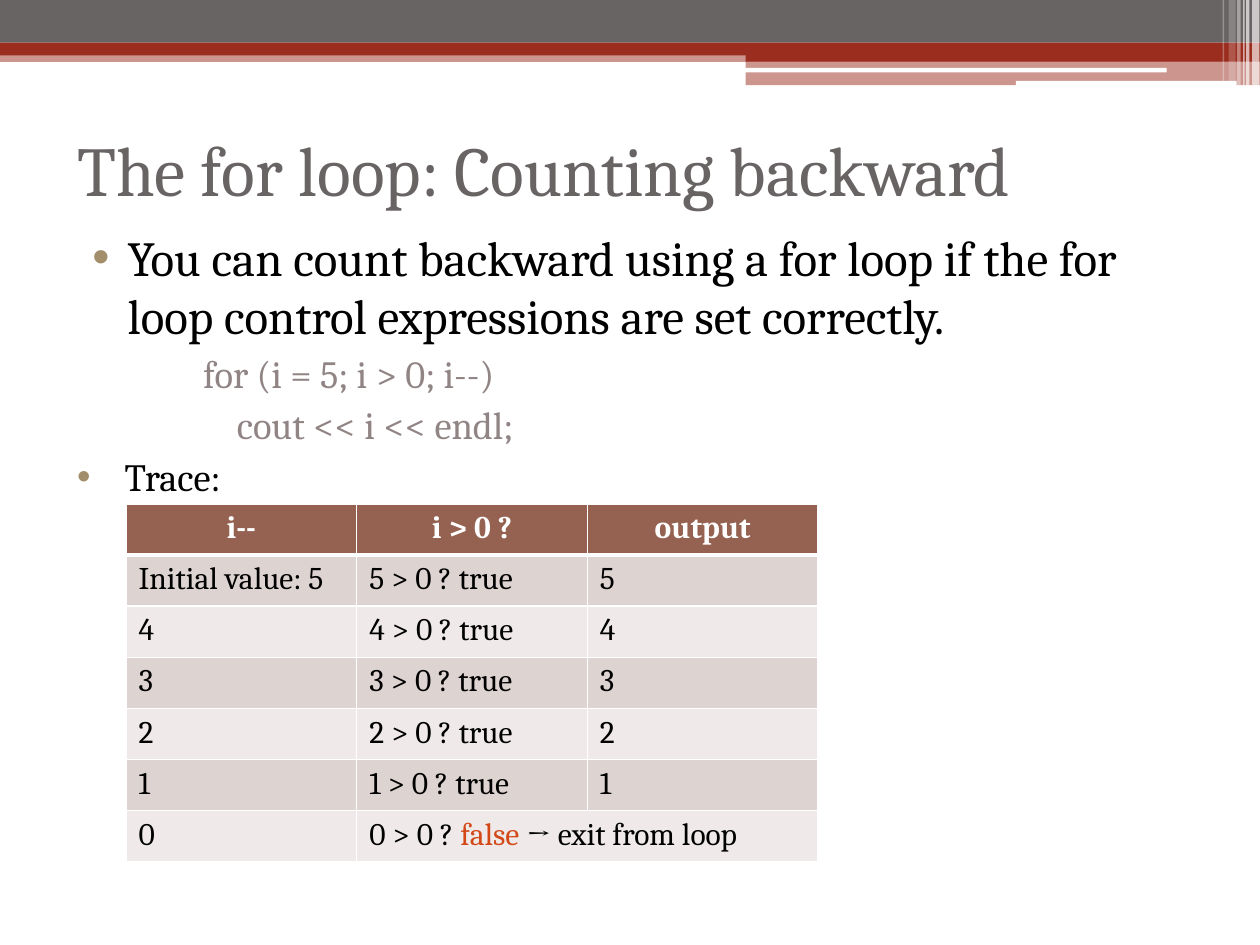
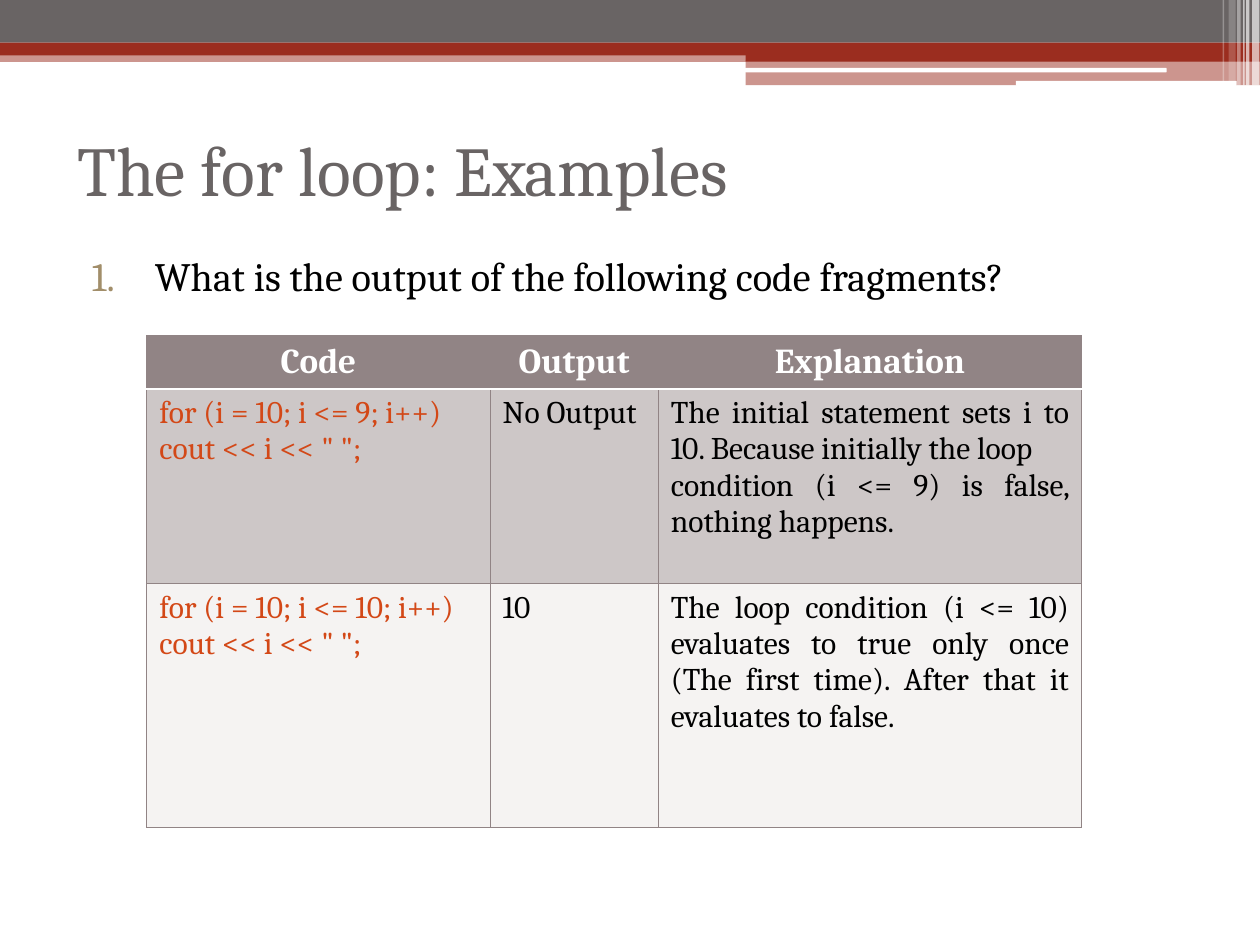
from lxml import etree
from pptx import Presentation
from pptx import util as u
from pptx.dml.color import RGBColor
from pptx.enum import shapes, text
from pptx.oxml.ns import qn

# Shared look
FONT = "Cambria"
GREY, RED, WHITE, BLACK = "696464", "9B2D1F", "FFFFFF", "000000"
ACCENT, BULLET, MAUVE, BROWN = "D34817", "A28E6A", "918485", "956251"
PAGE_WIDTH, PAGE_HEIGHT = 25.4, 19.05
MARGIN, BODY_WIDTH = 1.3, 22.86
LEFT, CENTRE, JUSTIFY = (text.PP_ALIGN.LEFT, text.PP_ALIGN.CENTER,
                         text.PP_ALIGN.JUSTIFY)

# Bands: left, top, width, height, colour, opacity in percent
BANDS = [
    (0, 1.02, PAGE_WIDTH, 0.23, RED, 50),
    (0, 0, PAGE_WIDTH, 0.86, GREY, 100),
    (0, 0.86, PAGE_WIDTH, 0.26, RED, 100),
    (15.03, 1, 10.37, 0.24, RED, 100),
    (15.03, 1.22, 10.37, 0.5, RED, 50),
]
RULES = [(15.02, 1.37, 8.5, 0.09, WHITE, 100),
         (20.48, 1.63, 4.45, 0.1, WHITE, 100)]
# Light stripes at the right edge: left, width, height, opacity
STRIPES = [(25.24, 0.15, 1.73, 65), (25.12, 0.07, 1.73, 65),
           (25.06, 0.03, 1.73, 60), (24.94, 0.07, 1.73, 40),
           (24.77, 0.14, 1.63, 20), (24.65, 0.03, 1.63, 30)]


def colour(value):
    return RGBColor.from_string(value)


def place(box, left, top, width, height):
    box.left, box.top = u.Cm(left), u.Cm(top)
    box.width, box.height = u.Cm(width), u.Cm(height)


def add_band(page, left, top, width, height, fill, opacity, kind=shapes.MSO_SHAPE.RECTANGLE):
    band = page.shapes.add_shape(kind, u.Cm(left), u.Cm(top), u.Cm(width), u.Cm(height))
    band.shadow.inherit = False
    band.line.fill.background()
    band.fill.solid()
    band.fill.fore_color.rgb = colour(fill)
    if opacity < 100:
        tone = band._element.spPr.find(".//" + qn("a:srgbClr"))
        etree.SubElement(tone, qn("a:alpha"), val=str(opacity * 1000))
    return band


def decorate_layout(layout, page):
    """Draw the bands on a page, then hand them to its layout."""
    bands = [add_band(page, *band) for band in BANDS]
    bands += [add_band(page, *rule, shapes.MSO_SHAPE.ROUNDED_RECTANGLE) for rule in RULES]
    bands += [add_band(page, left, 0, width, height, WHITE, opacity)
              for left, width, height, opacity in STRIPES]
    for position, band in enumerate(bands, 2):
        layout.shapes._spTree.insert(position, band._element)


def write_para(para, words, size, tone, align=LEFT, bold=False):
    """Write one paragraph; words between bars take the accent colour."""
    para.alignment = align
    for index, part in enumerate(words.split("|")):
        if part:
            span = para.add_run()
            span.text = part
            span.font.name, span.font.size, span.font.bold = FONT, u.Pt(size), bold
            span.font.color.rgb = colour(ACCENT if index % 2 else tone)


def set_bullet(para, margin, indent, tag, **settings):
    props = para._p.get_or_add_pPr()
    props.set("marL", str(u.Cm(margin)))
    props.set("indent", str(u.Cm(indent)))
    if tag != "a:buNone":
        tint = etree.SubElement(props, qn("a:buClr"))
        etree.SubElement(tint, qn("a:srgbClr"), val=BULLET)
    etree.SubElement(props, qn("a:" + tag.split(":")[1]), **settings)


def add_title(page, words):
    frame = page.shapes.title.text_frame
    frame.auto_size = text.MSO_AUTO_SIZE.NONE
    frame.vertical_anchor = text.MSO_ANCHOR.MIDDLE
    write_para(frame.paragraphs[0], words, 40, GREY)


def add_body(page, top, items):
    """Each item: words, size, colour, alignment, margin, indent, bullet."""
    box = page.placeholders[1]
    place(box, MARGIN, top, BODY_WIDTH, 17.78 - top)
    frame = box.text_frame
    frame.auto_size = text.MSO_AUTO_SIZE.NONE
    for index, (words, size, tone, align, margin, indent, bullet) in enumerate(items):
        para = frame.add_paragraph() if index else frame.paragraphs[0]
        set_bullet(para, margin, indent, *bullet[:1], **bullet[1])
        para.space_before = u.Pt(3 if index else 0)
        write_para(para, words, size, tone, align)


def set_borders(cell, sides):
    """Sides: colour and width in points for L, R, T and B, in that order."""
    props = cell._tc.get_or_add_tcPr()
    for side, (tone, width) in sides.items():
        line = etree.SubElement(props, qn("a:ln" + side), w=str(u.Pt(width)))
        fill = etree.SubElement(line, qn("a:solidFill"))
        etree.SubElement(fill, qn("a:srgbClr"), val=tone)


def add_grid(page, left, top, widths, heights, rows, header_fill, row_fills,
             border, header_rule, header_size, aligns):
    table = page.shapes.add_table(
        len(rows), len(widths), u.Cm(left), u.Cm(top),
        u.Cm(sum(widths)), u.Cm(sum(heights))).table
    table.horz_banding = table.first_row = False
    for column, width in zip(table.columns, widths):
        column.width = u.Cm(width)
    for r, (row, height) in enumerate(zip(rows, heights)):
        table.rows[r].height = u.Cm(height)
        for c, words in enumerate(row):
            cell = table.cell(r, c)
            sides = dict.fromkeys("LRTB", border)
            if r < 2:
                sides["T" if r else "B"] = header_rule
            set_borders(cell, sides)
            cell.fill.solid()
            cell.fill.fore_color.rgb = colour(row_fills[(r - 1) % 2] if r else header_fill)
            for index, line in enumerate(words.split("\n")):
                frame = cell.text_frame
                para = frame.add_paragraph() if index else frame.paragraphs[0]
                if r:
                    write_para(para, line, 18, BLACK, aligns[c])
                else:
                    write_para(para, line, header_size, WHITE, CENTRE, True)
    return table


def build_backward(page):
    add_title(page, "The for loop: Counting backward")
    dot, plain = ("a:buChar", {"char": "•"}), ("a:buNone", {})
    add_body(page, 4.45, [
        ("You can count backward using a for loop if the for loop control "
         "expressions are set correctly.", 28, BLACK, LEFT, 1.02, -0.71, dot),
        ("for (i = 5; i > 0; i--)", 22, MAUVE, LEFT, 2.54, 0, plain),
        ("    cout << i << endl;", 22, MAUVE, LEFT, 2.54, 0, plain),
        ("Trace:", 22, BLACK, JUSTIFY, 0.96, -0.96, dot),
    ])
    # Trace of the loop, one row for each value of i
    rows = [["i--", "i > 0 ?", "output"]]
    rows += [[str(i), f"{i} > 0 ? true", str(i)] for i in range(5, 0, -1)]
    rows[1][0] = "Initial value: 5"
    rows.append(["0", "0 > 0 ? |false| → exit from loop", ""])
    trace = add_grid(page, 2.54, 10.16, [4.65] * 3, [1.03] * 7, rows, BROWN,
                     ["DDD3D0", "EFEAE9"], (WHITE, 1), (WHITE, 3), 18, [LEFT] * 3)
    trace.cell(6, 1).merge(trace.cell(6, 2))


def build_examples(page):
    add_title(page, "The for loop: Examples")
    number = ("a:buAutoNum", {"type": "arabicPeriod"})
    add_body(page, 4.93, [("What is the output of the following code fragments?",
                           23, BLACK, JUSTIFY, 1.57, -1.27, number)])
    # Code fragments with their output
    rows = [
        ["Code", "Output", "Explanation"],
        ['|for (i = 10; i <= 9; i++)|\n|cout << i << " ";|', "No Output",
         "The initial statement sets i to 10. Because initially the loop\n"
         "condition (i <= 9) is false, nothing happens."],
        ['|for (i = 10; i <= 10; i++)|\n|cout << i << " ";|', "10",
         "The loop condition (i <= 10) evaluates to true only once "
         "(The first time). After that it evaluates to false."],
    ]
    add_grid(page, 2.96, 6.77, [6.92, 3.39, 8.54], [1.07, 3.92, 4.92], rows, MAUVE,
             ["CDC7C7", "F5F3F2"], (MAUVE, 0.75), (WHITE, 1.5), 20,
             [LEFT, LEFT, JUSTIFY])


def main():
    deck = Presentation()
    deck.slide_width, deck.slide_height = u.Cm(PAGE_WIDTH), u.Cm(PAGE_HEIGHT)
    layout = deck.slide_layouts[1]
    place(layout.placeholders[0], MARGIN, 1.91, BODY_WIDTH, 2.96)
    builders = [build_backward, build_examples]
    pages = [deck.slides.add_slide(layout) for _ in builders]
    decorate_layout(layout, pages[0])
    for build, page in zip(builders, pages):
        build(page)
    deck.save("out.pptx")


if __name__ == "__main__":
    main()
